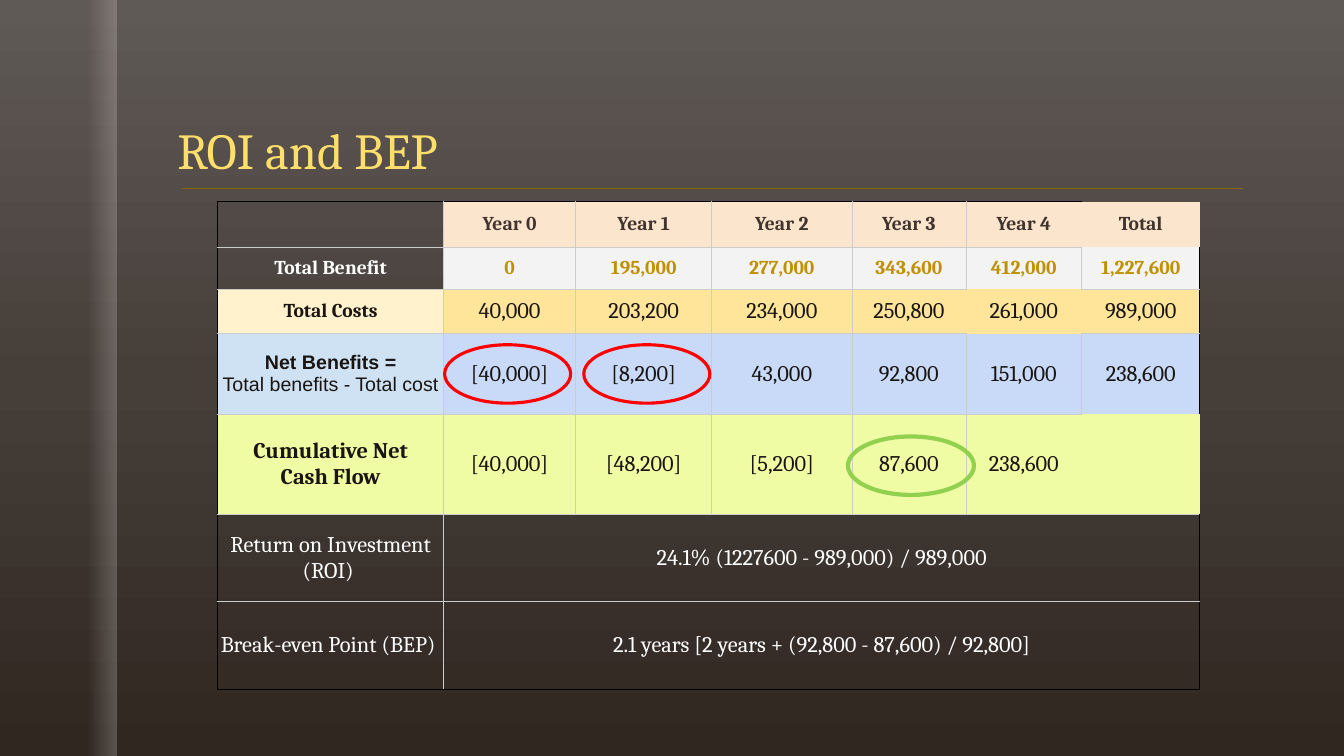
from dataclasses import dataclass
from typing import Optional

from lxml import etree
from pptx import Presentation
from pptx.dml.color import RGBColor
from pptx.enum.shapes import MSO_CONNECTOR, MSO_SHAPE
from pptx.enum.text import MSO_ANCHOR, PP_ALIGN
from pptx.oxml.ns import qn
from pptx.util import Inches, Pt

STRAIGHT = MSO_CONNECTOR.STRAIGHT
RECTANGLE, OVAL = MSO_SHAPE.RECTANGLE, MSO_SHAPE.OVAL
MIDDLE, BOTTOM = MSO_ANCHOR.MIDDLE, MSO_ANCHOR.BOTTOM
CENTER = PP_ALIGN.CENTER

WHITE = RGBColor(0xFF, 0xFF, 0xFF)
BLACK = RGBColor(0x00, 0x00, 0x00)
INK = RGBColor(0x1A, 0x15, 0x13)
BROWN = RGBColor(0x41, 0x34, 0x2F)
GOLD = RGBColor(0xBF, 0x90, 0x00)
TITLE_YELLOW = RGBColor(0xFF, 0xDF, 0x6B)
RULE_GOLD = RGBColor(0x84, 0x67, 0x00)
GRID_GRAY = RGBColor(0xCC, 0xCC, 0xCC)
PEACH = RGBColor(0xFC, 0xE5, 0xCD)
PALE_GRAY = RGBColor(0xF3, 0xF3, 0xF3)
CREAM = RGBColor(0xFF, 0xF2, 0xCC)
AMBER = RGBColor(0xFF, 0xE5, 0x99)
PALE_BLUE = RGBColor(0xCF, 0xE2, 0xF3)
BLUE = RGBColor(0xC9, 0xDA, 0xF8)
LIME = RGBColor(0xF0, 0xFC, 0xA4)
RED = RGBColor(0xFF, 0x00, 0x00)
GREEN = RGBColor(0x92, 0xD0, 0x50)
BACKGROUND_TOP = RGBColor(0x60, 0x5A, 0x57)
BACKGROUND_MIDDLE = RGBColor(0x46, 0x3E, 0x39)
BACKGROUND_BOTTOM = RGBColor(0x30, 0x27, 0x21)
SHEEN = RGBColor(0xE5, 0xDE, 0xDB)

NO_STYLE = "{2D5ABB26-0587-4C30-8999-92F81FD0307C}"
COLUMN_WIDTHS = [2.24, 1.31, 1.35, 1.39, 1.13, 1.15, 1.17]
ROW_HEIGHTS = [0.45, 0.42, 0.44, 0.8, 0.99, 0.87, 0.87]
OPEN_SIDES = {
    (0, 5): "R", (0, 6): "LRTB", (1, 5): "B", (1, 6): "T", (2, 4): "R",
    (2, 5): "LRTB", (2, 6): "L", (3, 5): "T", (3, 6): "B", (4, 5): "R", (4, 6): "LRTB",
}


@dataclass
class TextStyle:
    """Look of one run of text."""
    color: RGBColor
    size: int = 16
    bold: bool = False
    font: str = "Cambria"


@dataclass
class Row:
    """One table row: label lines with their styles, then values."""
    label: list
    label_fill: Optional[RGBColor]
    values: list
    value_style: TextStyle
    value_fill: Optional[RGBColor]


PLAIN, PLAIN_WHITE = TextStyle(INK), TextStyle(WHITE)
ROWS = [
    Row([], None, ["Year 0", "Year 1", "Year 2", "Year 3", "Year 4", "Total"],
        TextStyle(BROWN, 14, True), PEACH),
    Row([("Total Benefit", TextStyle(WHITE, 14, True))], None,
        ["0", "195,000", "277,000", "343,600", "412,000", "1,227,600"],
        TextStyle(GOLD, 14, True), PALE_GRAY),
    Row([("Total Costs", TextStyle(INK, 14, True))], CREAM,
        ["40,000", "203,200", "234,000", "250,800", "261,000", "989,000"], PLAIN, AMBER),
    Row([("Net Benefits =", TextStyle(INK, 14, True, "Arial")),
         ("Total benefits - Total cost", TextStyle(INK, 14, False, "Arial"))], PALE_BLUE,
        ["[40,000]", "[8,200]", "43,000", "92,800", "151,000", "238,600"], PLAIN, BLUE),
    Row([("Cumulative Net", TextStyle(INK, 16, True)),
         ("Cash Flow", TextStyle(INK, 16, True))], LIME,
        ["[40,000]", "[48,200]", "[5,200]", "87,600", "238,600", ""], PLAIN, LIME),
    Row([("Return on Investment (ROI) ", PLAIN_WHITE)], None,
        ["24.1% (1227600 - 989,000) / 989,000"], PLAIN_WHITE, None),
    Row([("Break-even Point (BEP) ", PLAIN_WHITE)], None,
        ["2.1 years [2 years + (92,800 - 87,600) / 92,800]"], PLAIN_WHITE, None),
]


class SlideBuilder:
    """Draws styled elements on the current slide."""

    def __init__(self, slide):
        self.slide = slide

    def gradient(self, fill, element, angle, stops):
        fill.gradient()
        fill.gradient_angle = angle
        stop_list = element.find(".//" + qn("a:gsLst"))
        for stop in list(stop_list):
            stop_list.remove(stop)
        for position, color, opacity in stops:
            stop = etree.SubElement(stop_list, qn("a:gs"), pos=str(position * 1000))
            rgb = etree.SubElement(stop, qn("a:srgbClr"), val=str(color))
            if opacity < 100:
                etree.SubElement(rgb, qn("a:alpha"), val=str(opacity * 1000))

    def background(self, stops):
        self.gradient(self.slide.background.fill, self.slide.element, 270, stops)

    def strip(self, left, top, width, height, stops):
        shape = self.slide.shapes.add_shape(
            RECTANGLE, Inches(left), Inches(top), Inches(width), Inches(height))
        shape.shadow.inherit = False
        shape.line.fill.background()
        self.gradient(shape.fill, shape.element, 0, stops)

    def rule(self, left, right, top, color):
        line = self.slide.shapes.add_connector(
            STRAIGHT, Inches(left), Inches(top), Inches(right), Inches(top))
        line.line.color.rgb = color
        line.line.width = Pt(1)
        etree.SubElement(line.element.spPr, qn("a:effectLst"))

    def run(self, paragraph, text, style):
        run = paragraph.add_run()
        run.text = text
        run.font.name = style.font
        run.font.size = Pt(style.size)
        run.font.bold = style.bold
        run.font.color.rgb = style.color

    def title(self, left, top, width, height, text, style):
        frame = self.slide.shapes.add_textbox(
            Inches(left), Inches(top), Inches(width), Inches(height)).text_frame
        frame.word_wrap = True
        frame.vertical_anchor = BOTTOM
        frame.paragraphs[0].line_spacing = 0.9
        self.run(frame.paragraphs[0], text, style)

    def ring(self, shapes, left, top, color, weight):
        shape = shapes.add_shape(OVAL, Inches(left), Inches(top), Inches(1.25), Inches(0.58))
        shape.shadow.inherit = False
        shape.fill.background()
        shape.line.color.rgb = color
        shape.line.width = Pt(weight)

    def borders(self, cell, outer_sides, open_sides):
        properties = cell._tc.get_or_add_tcPr()
        for side in "LRTB":
            line = etree.SubElement(properties, qn("a:ln" + side), w=str(Pt(0.5)))
            if side in open_sides:
                etree.SubElement(line, qn("a:noFill"))
                continue
            color = BLACK if side in outer_sides else GRID_GRAY
            solid = etree.SubElement(line, qn("a:solidFill"))
            etree.SubElement(solid, qn("a:srgbClr"), val=str(color))

    def cell(self, cell, lines, fill):
        cell.vertical_anchor = MIDDLE
        cell.margin_left = cell.margin_right = Inches(0.02)
        cell.margin_top = cell.margin_bottom = Inches(0.01)
        if fill is None:
            cell.fill.background()
        else:
            cell.fill.solid()
            cell.fill.fore_color.rgb = fill
        paragraph = cell.text_frame.paragraphs[0]
        paragraph.alignment = CENTER
        for index, (text, style) in enumerate(lines):
            if index:
                paragraph.add_line_break()
            self.run(paragraph, text, style)

    def table(self, left, top, rows):
        frame = self.slide.shapes.add_table(
            len(rows), len(COLUMN_WIDTHS), Inches(left), Inches(top),
            Inches(sum(COLUMN_WIDTHS)), Inches(sum(ROW_HEIGHTS)))
        table = frame.table
        table.first_row = table.horz_banding = False
        frame.element.find(".//" + qn("a:tableStyleId")).text = NO_STYLE
        for column, width in zip(table.columns, COLUMN_WIDTHS):
            column.width = Inches(width)
        last_row, last_column = len(rows) - 1, len(COLUMN_WIDTHS) - 1
        for row_index, row in enumerate(rows):
            table.rows[row_index].height = Inches(ROW_HEIGHTS[row_index])
            if len(row.values) == 1:
                table.cell(row_index, 1).merge(table.cell(row_index, last_column))
            contents = [(row.label, row.label_fill)]
            contents += [([(value, row.value_style)] if value else [], row.value_fill)
                         for value in row.values]
            for column_index, (lines, fill) in enumerate(contents):
                edges = {"L": column_index == 0, "R": column_index == len(contents) - 1,
                         "T": row_index == 0, "B": row_index == last_row}
                outer_sides = [side for side, is_outer in edges.items() if is_outer]
                cell = table.cell(row_index, column_index)
                self.borders(cell, outer_sides, OPEN_SIDES.get((row_index, column_index), ""))
                self.cell(cell, lines, fill)


def main():
    presentation = Presentation()
    presentation.slide_width, presentation.slide_height = Inches(13.33), Inches(7.5)
    builder = SlideBuilder(presentation.slides.add_slide(presentation.slide_layouts[6]))
    builder.background([(0, BACKGROUND_TOP, 100), (50, BACKGROUND_MIDDLE, 100),
                        (100, BACKGROUND_BOTTOM, 100)])
    builder.strip(0, 0, 1.16, 7.5, [(75, SHEEN, 0), (100, SHEEN, 25)])
    builder.rule(1.81, 12.33, 1.87, RULE_GOLD)
    builder.title(1.66, 0.42, 10.75, 1.42, "ROI and BEP", TextStyle(TITLE_YELLOW, 36))
    builder.table(2.16, 2, ROWS)
    losses = builder.slide.shapes.add_group_shape()
    for left in (4.41, 5.79):
        builder.ring(losses.shapes, left, 3.42, RED, 2.25)
    builder.ring(builder.slide.shapes, 8.41, 4.33, GREEN, 3)
    presentation.save("out.pptx")


if __name__ == "__main__":
    main()
